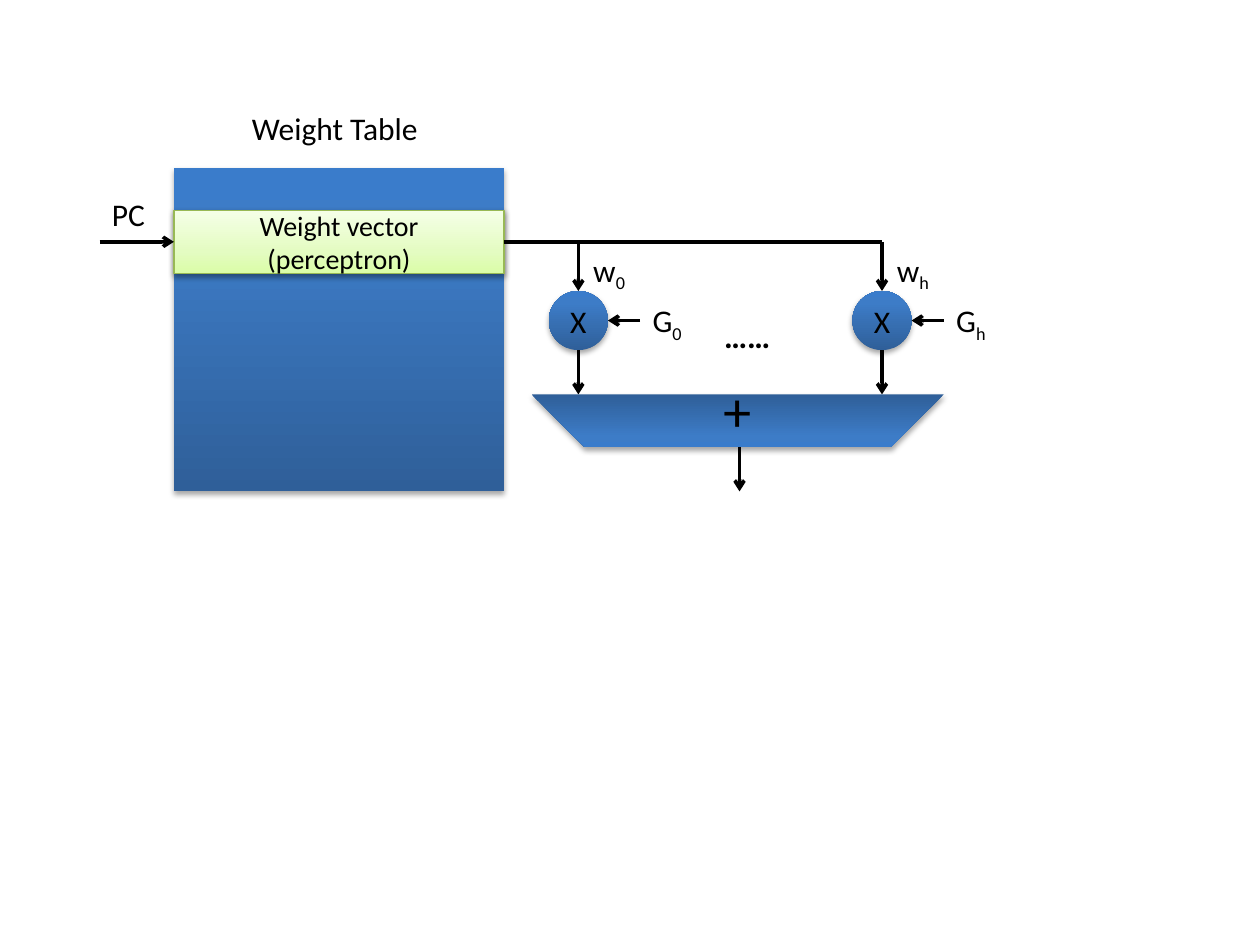
from pptx import Presentation
from pptx.dml.color import RGBColor
from pptx.enum.shapes import MSO_CONNECTOR as CONN, MSO_SHAPE as SHAPE
from pptx.enum.text import MSO_ANCHOR as ANCHOR, PP_ALIGN as ALIGN
from pptx.oxml import parse_xml
from pptx.oxml.ns import nsdecls, qn
from pptx.util import Pt

BLACK = RGBColor(0, 0, 0)
OLIVE = RGBColor(0x98, 0xB9, 0x55)
BLUES = [(0, "2F5F99"), (80, "3D7CC7"), (100, "3A7CCB")]
GREENS = [(0, "DAFDA7"), (35, "E4FCC2"), (100, "F5FFE7")]

TABLE = (99.4, 95.8, 188.6, 185)
VECTOR = (99.4, 120.2, 188.6, 36)
ADDER = (303.8, 225.4, 235.4, 30.2)
LABELS = [
    ("Weight Table", (136.8, 59, 113.8, 28.8)),
    ("PC", (56.9, 108, 38.9, 28.8)),
]
DOTS = (387.4, 155.5, 79.2, 33.1)
INPUTS = [("0", 330.5), ("h", 504)]
BUS_Y = 138.2
CIRCLE_TOP, DIAMETER = 166.3, 33.8
OUTPUT_X, OUTPUT_END = 422.6, 280.8

prs = Presentation()
prs.slide_width, prs.slide_height = Pt(720), Pt(540)
s = prs.slides.add_slide(prs.slide_layouts[6])


def write(tf, text, size=18, sub="", align=None):
    tf.word_wrap = True
    p = tf.paragraphs[0]
    p.text = text
    p.alignment = align
    if sub:
        r = p.add_run()
        r.text = sub
        lower(r)
    for r in p.runs:
        r.font.size, r.font.name = Pt(size), "Calibri"
        r.font.color.rgb = BLACK


def lower(r):
    r.font._element.set("baseline", "-25000")


def add_label(text, box, **style):
    sp = s.shapes.add_textbox(*map(Pt, box))
    write(sp.text_frame, text, **style)
    return sp


def add_box(kind, box, stops=BLUES, text="", size=18, line=None, shade=(35, 1.8)):
    sp = s.shapes.add_shape(kind, *map(Pt, box))
    sp.fill.gradient()
    sp.fill.gradient_angle = 90
    props = sp._element.spPr
    gradient = props.find(".//" + qn("a:gsLst"))
    gradient.clear()
    for pos, color in stops:
        gradient.append(parse_xml(
            f'<a:gs {nsdecls("a")} pos="{pos * 1000}"><a:srgbClr val="{color}"/></a:gs>'))
    if line:
        sp.line.color.rgb, sp.line.width = line, Pt(0.75)
    else:
        sp.line.fill.background()
    sp.shadow.inherit = False
    alpha, dist = shade
    props.find(qn("a:effectLst")).append(parse_xml(
        f'<a:outerShdw {nsdecls("a")} blurRad="{Pt(3.1)}" dist="{Pt(dist)}" dir="5400000" '
        f'rotWithShape="0"><a:srgbClr val="000000"><a:alpha val="{alpha * 1000}"/>'
        '</a:srgbClr></a:outerShdw>'))
    if text:
        sp.text_frame.vertical_anchor = ANCHOR.MIDDLE
        write(sp.text_frame, text, size, align=ALIGN.CENTER)
    return sp


def add_line(x1, y1, x2, y2, arrow=True):
    c = s.shapes.add_connector(CONN.STRAIGHT, *map(Pt, (x1, y1, x2, y2)))
    c.line.color.rgb, c.line.width = BLACK, Pt(2)
    if arrow:
        c.line._get_or_add_ln().append(parse_xml(f'<a:tailEnd {nsdecls("a")} type="arrow"/>'))
    c._element.spPr.append(parse_xml(f'<a:effectLst {nsdecls("a")}/>'))


add_box(SHAPE.RECTANGLE, TABLE)
add_box(SHAPE.RECTANGLE, VECTOR, GREENS, "Weight vector (perceptron)", 16, OLIVE, (38, 1.6))
for text, box in LABELS:
    add_label(text, box)

left, right = TABLE[0], TABLE[0] + TABLE[2]
add_line(56.9, BUS_Y, left, BUS_Y)
add_line(right, BUS_Y, INPUTS[-1][1], BUS_Y, arrow=False)

radius = DIAMETER / 2
middle = CIRCLE_TOP + radius
for sub, x in INPUTS:
    add_line(x, BUS_Y, x, CIRCLE_TOP)
    add_label("w", (x + 1.4, 139.7, 39.6, 28.8), sub=sub)
    add_box(SHAPE.OVAL, (x - radius, CIRCLE_TOP, DIAMETER, DIAMETER), text="X")
    add_line(x + 35.3, middle, x + radius, middle)
    add_label("G", (x + 35.3, 168.5, 39.6, 28.8), sub=sub)
    add_line(x, CIRCLE_TOP + DIAMETER, x, ADDER[1])

dots = add_label("……", DOTS, size=32, align=ALIGN.CENTER)
r = dots.text_frame.paragraphs[0].runs[0]
r.font.bold = True
lower(r)

adder = add_box(SHAPE.TRAPEZOID, ADDER, text="+", size=32)
adder.rotation = 180
adder.adjustments[0] = 1.006
add_line(OUTPUT_X, ADDER[1] + ADDER[3], OUTPUT_X, OUTPUT_END)

prs.save("out.pptx")
